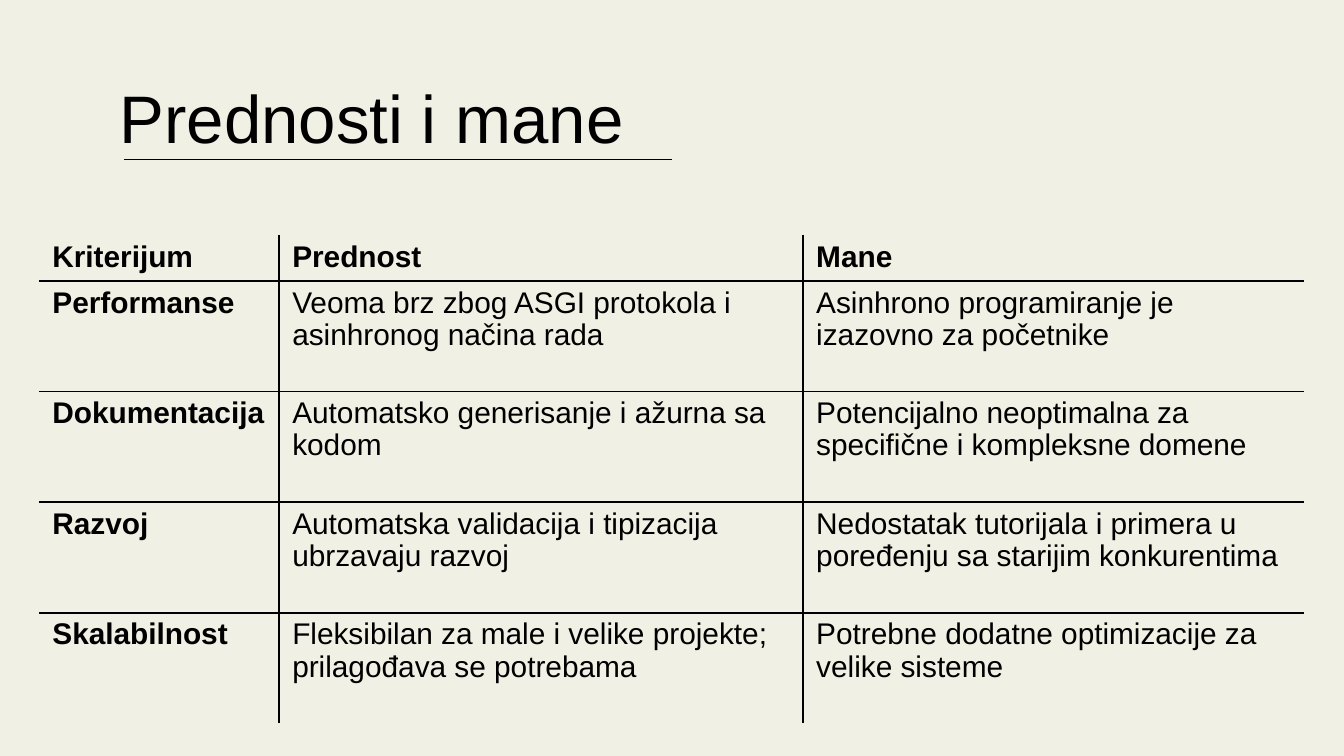
import pptx
import pptx.util
import pptx.dml.color
import pptx.enum.shapes
import pptx.enum.text
import pptx.oxml
import pptx.oxml.ns
from lxml import etree

Pt = pptx.util.Pt
COLORS = {"background": "F0F1E4", "ink": "000000"}
FONT = "Arial"
COLUMN_WIDTHS = [128.5, 280.7, 268.4]
HEADER_HEIGHT = 24.6
ROW_HEIGHT = 59.25
ROWS = [
    ["Kriterijum", "Prednost", "Mane"],
    ["Performanse", "Veoma brz zbog ASGI protokola i asinhronog načina rada",
     "Asinhrono programiranje je izazovno za početnike"],
    ["Dokumentacija", "Automatsko generisanje i ažurna sa kodom",
     "Potencijalno neoptimalna za specifične i kompleksne domene"],
    ["Razvoj", "Automatska validacija i tipizacija ubrzavaju razvoj",
     "Nedostatak tutorijala i primera u poređenju sa starijim konkurentima"],
    ["Skalabilnost", "Fleksibilan za male i velike projekte; prilagođava se potrebama",
     "Potrebne dodatne optimizacije za velike sisteme"],
]


def rgb(name):
    return pptx.dml.color.RGBColor.from_string(COLORS[name])


def add_run(p, text, size, bold=False):
    r = p.add_run()
    r.text = text
    r.font.name = FONT
    r.font.size = Pt(size)
    r.font.bold = bold
    r.font.color.rgb = rgb("ink")


def set_title(s, text):
    sp = s.shapes.title
    sp.left, sp.top, sp.width, sp.height = Pt(56.9), Pt(29.5), Pt(327.6), Pt(45.4)
    tf = sp.text_frame
    tf.word_wrap = True
    tf.auto_size = pptx.enum.text.MSO_AUTO_SIZE.NONE
    tf.vertical_anchor = pptx.enum.text.MSO_ANCHOR.TOP
    tf.margin_left = tf.margin_right = Pt(7.2)
    tf.margin_top, tf.margin_bottom = Pt(11.5), Pt(0)
    p = tf.paragraphs[0]
    p.alignment = pptx.enum.text.PP_ALIGN.LEFT
    add_run(p, text, 36)


def add_rule(s, x1, x2, y):
    line = s.shapes.add_connector(
        pptx.enum.shapes.MSO_CONNECTOR.STRAIGHT, Pt(x1), Pt(y), Pt(x2), Pt(y))
    line.line.color.rgb = rgb("ink")
    line.line.width = Pt(0.75)
    etree.SubElement(line._element.spPr, pptx.oxml.ns.qn("a:effectLst"))


def set_borders(cell, visible):
    tc_pr = cell._tc.get_or_add_tcPr()
    for side in "LRTB":
        fill = "<a:noFill/>"
        if side in visible:
            fill = f'<a:solidFill><a:srgbClr val="{COLORS["ink"]}"/></a:solidFill>'
        tc_pr.append(pptx.oxml.parse_xml(
            f'<a:ln{side} {pptx.oxml.ns.nsdecls("a")} w="{Pt(1)}">{fill}</a:ln{side}>'))


def add_grid(s, rows, left, top):
    heights = [HEADER_HEIGHT] + [ROW_HEIGHT] * (len(rows) - 1)
    table = s.shapes.add_table(
        len(rows), len(COLUMN_WIDTHS), Pt(left), Pt(top),
        Pt(sum(COLUMN_WIDTHS)), Pt(sum(heights))).table
    table.first_row = table.horz_banding = False
    for column, width in zip(table.columns, COLUMN_WIDTHS):
        column.width = Pt(width)
    for i, (row, height) in enumerate(zip(rows, heights)):
        table.rows[i].height = Pt(height)
        for j, text in enumerate(row):
            cell = table.cell(i, j)
            inner = {"L": j > 0, "R": j < len(row) - 1, "T": i > 0, "B": i < len(rows) - 1}
            set_borders(cell, [side for side in inner if inner[side]])
            cell.fill.background()
            cell.margin_left = cell.margin_right = Pt(7.2)
            cell.margin_top = cell.margin_bottom = Pt(3.4)
            p = cell.text_frame.paragraphs[0]
            p.line_spacing = 0.97
            add_run(p, text, 16, bold=i == 0 or j == 0)


def main():
    prs = pptx.Presentation()
    prs.slide_width, prs.slide_height = Pt(720), Pt(405)
    s = prs.slides.add_slide(prs.slide_layouts[5])
    s.background.fill.solid()
    s.background.fill.fore_color.rgb = rgb("background")
    set_title(s, "Prednosti i mane")
    add_grid(s, ROWS, 20.9, 126)
    add_rule(s, 360, 66.3, 85.6)
    prs.save("out.pptx")


if __name__ == "__main__":
    main()
